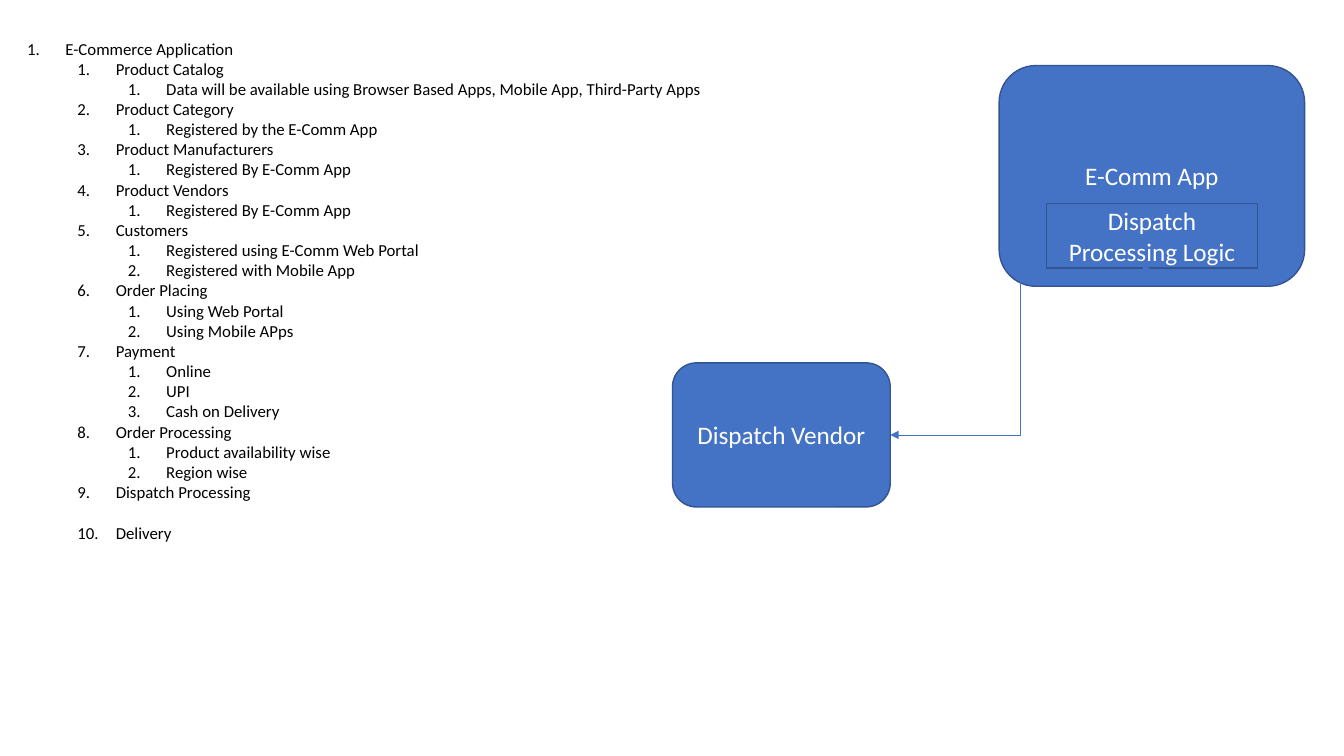
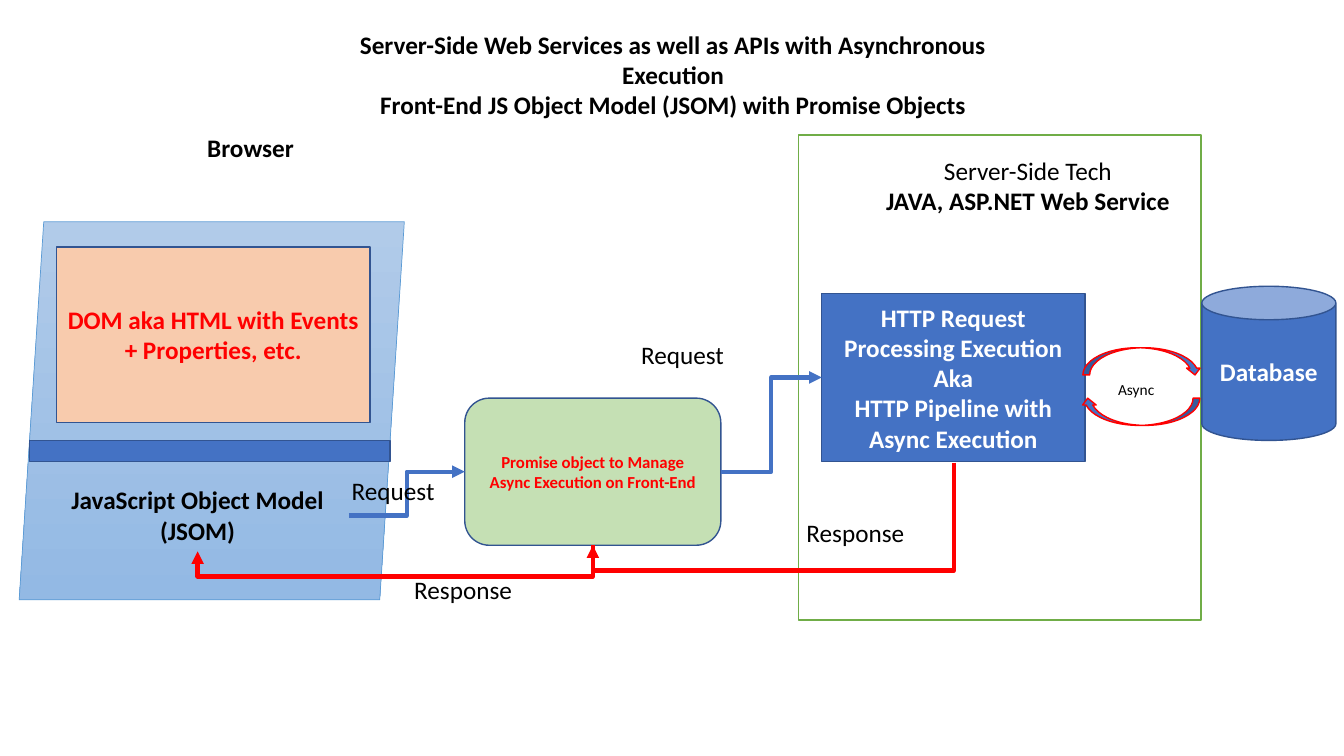
from lxml import etree
from pptx import Presentation
from pptx.dml.color import RGBColor
from pptx.enum.shapes import MSO_CONNECTOR, MSO_SHAPE as Shape
from pptx.enum.text import MSO_ANCHOR, MSO_AUTO_SIZE, PP_ALIGN as Align
from pptx.oxml.ns import qn
from pptx.util import Inches, Pt

BLACK = RGBColor(0x00, 0x00, 0x00)
WHITE = RGBColor(0xFF, 0xFF, 0xFF)
BLUE = RGBColor(0x44, 0x72, 0xC4)
DARK_BLUE = RGBColor(0x32, 0x54, 0x91)
SKY_LINE = RGBColor(0x5B, 0x9B, 0xD5)
SKY_TOP = RGBColor(0xB1, 0xCB, 0xE9)
SKY_BOTTOM = RGBColor(0x93, 0xB9, 0xE4)
RED = RGBColor(0xFF, 0x00, 0x00)
PEACH = RGBColor(0xF8, 0xCB, 0xAD)
LIGHT_GREEN = RGBColor(0xC5, 0xE0, 0xB4)
GREEN = RGBColor(0x70, 0xAD, 0x47)

FONTS = {
    "normal": {"name": "Calibri", "size": Pt(18), "bold": False},
    "strong": {"name": "Calibri", "size": Pt(18), "bold": True},
    "outline": {"name": "Calibri", "size": Pt(12), "bold": False},
    "small strong": {"name": "Calibri", "size": Pt(12), "bold": True},
    "caption": {"name": "Calibri", "size": Pt(11), "bold": False},
}

OUTLINE = [
    (0, "E-Commerce Application"),
    (1, "Product Catalog"),
    (2, "Data will be available using Browser Based Apps, Mobile App, Third-Party Apps"),
    (1, "Product Category"),
    (2, "Registered by the E-Comm App"),
    (1, "Product Manufacturers"),
    (2, "Registered By E-Comm App"),
    (1, "Product Vendors"),
    (2, "Registered By E-Comm App"),
    (1, "Customers"),
    (2, "Registered using E-Comm Web Portal"),
    (2, "Registered with Mobile App"),
    (1, "Order Placing"),
    (2, "Using Web Portal"),
    (2, "Using Mobile APps"),
    (1, "Payment"),
    (2, "Online"),
    (2, "UPI"),
    (2, "Cash on Delivery"),
    (1, "Order Processing"),
    (2, "Product availability wise"),
    (2, "Region wise"),
    (1, "Dispatch Processing"),
    (1, "Delivery"),
]


class Deck:
    def __init__(self):
        self.prs = Presentation()
        self.prs.slide_width, self.prs.slide_height = Inches(13.33), Inches(7.5)
        self.slide = None

    def blank_slide(self):
        self.slide = self.prs.slides.add_slide(self.prs.slide_layouts[6])

    def title_slide(self, lines, place):
        self.slide = self.prs.slides.add_slide(self.prs.slide_layouts[5])
        title = self.slide.shapes.title
        title.left, title.top, title.width, title.height = map(Inches, place)
        title.text_frame.vertical_anchor = MSO_ANCHOR.TOP
        title.text_frame.auto_size = MSO_AUTO_SIZE.NONE
        self.fill_text(title.text_frame, [(line, "strong") for line in lines])

    def fill_text(self, frame, lines, color=BLACK, align=Align.CENTER):
        """Fill a text frame with (text, font style) lines."""
        frame.word_wrap = True
        for index, (text, style) in enumerate(lines):
            paragraph = frame.add_paragraph() if index else frame.paragraphs[0]
            paragraph.alignment = align
            run = paragraph.add_run()
            run.text = text
            for key, value in FONTS[style].items():
                setattr(run.font, key, value)
            run.font.color.rgb = color

    def label(self, place, *lines, style="normal", align=Align.CENTER):
        """Add a text box; a line is a text or a (text, font style) pair."""
        box = self.slide.shapes.add_textbox(*map(Inches, place))
        pairs = [(line, style) if isinstance(line, str) else line for line in lines]
        self.fill_text(box.text_frame, pairs, align=align)
        return box

    def outline(self, place, items, gap_before):
        """Add a numbered outline with one blank line's gap above gap_before."""
        box = self.label(place, *(text for _, text in items), style="outline", align=Align.LEFT)
        for paragraph, (level, text) in zip(box.text_frame.paragraphs, items):
            paragraph.level = level
            if text == gap_before:
                paragraph.space_before = Pt(14.6)
            props = paragraph._p.get_or_add_pPr()
            props.set("marL", str(Inches(0.38 + 0.5 * level)))
            props.set("indent", str(Inches(-0.38)))
            etree.SubElement(props, qn("a:buFont"), typeface="+mj-lt")
            etree.SubElement(props, qn("a:buAutoNum"), type="arabicPeriod")

    def block(self, kind, place, *lines, fill=BLUE, line=DARK_BLUE, weight=1,
              style="normal", color=WHITE):
        block = self.slide.shapes.add_shape(kind, *map(Inches, place))
        block.shadow.inherit = False
        block.fill.solid()
        block.fill.fore_color.rgb = fill
        block.line.color.rgb = line
        block.line.width = Pt(weight)
        self.fill_text(block.text_frame, [(text, style) for text in lines], color)
        return block

    def elbow(self, start, end, color=BLUE, weight=3, both_heads=False):
        link = self.slide.shapes.add_connector(
            MSO_CONNECTOR.ELBOW, *map(Inches, (*start, *end)))
        link.line.color.rgb = color
        link.line.width = Pt(weight)
        outline = link.line._get_or_add_ln()
        for tag in ("a:headEnd", "a:tailEnd") if both_heads else ("a:tailEnd",):
            etree.SubElement(outline, qn(tag), type="triangle")
        etree.SubElement(link._element.spPr, qn("a:effectLst"))
        return link

    def return_path(self, start, end, bend):
        """Add a red elbow going down to height bend, left, then up to end."""
        (x1, y1), (x2, y2) = start, end
        mid_x, mid_y = (x1 + x2) / 2, (y1 + y2) / 2
        half_w, half_h = (y2 - y1) / 2, (x1 - x2) / 2
        link = self.elbow((mid_x - half_w, mid_y - half_h),
                          (mid_x + half_w, mid_y + half_h), RED)
        props = link._element.spPr
        props.find(qn("a:xfrm")).set("rot", str(90 * 60000))
        guides = props.find(qn("a:prstGeom")).get_or_add_avLst()
        ratio = round((bend - y1) / (y2 - y1) * 100000)
        etree.SubElement(guides, qn("a:gd"), name="adj1", fmla=f"val {ratio}")


def add_commerce_slide(deck):
    deck.blank_slide()
    deck.outline((0.17, 0.33, 12.99, 5.35), OUTLINE, gap_before="Delivery")
    deck.block(Shape.ROUNDED_RECTANGLE, (9.91, 0.65, 3.03, 2.19), "E-Comm App")
    vendor = deck.block(Shape.ROUNDED_RECTANGLE, (6.67, 3.6, 2.16, 1.43), "Dispatch Vendor")
    deck.block(Shape.RECTANGLE, (10.38, 2.02, 2.09, 0.64), "Dispatch Processing Logic")
    dispatch = deck.elbow((11.42, 2.67), (8.83, 4.32), weight=0.5, both_heads=True)
    dispatch.end_connect(vendor, 3)


def add_async_slide(deck):
    deck.title_slide(["Server-Side Web Services as well as APIs with Asynchronous Execution",
                      "Front-End JS Object Model (JSOM) with Promise Objects"],
                     (3.04, 0.24, 7.27, 1.01))

    deck.block(Shape.RECTANGLE, (7.92, 1.34, 3.99, 4.81), fill=WHITE, line=GREEN)
    deck.label((8.15, 1.49, 4.09, 0.71), "Server-Side Tech",
               ("JAVA, ASP.NET Web Service", "strong"))
    pipeline = deck.block(Shape.RECTANGLE, (8.15, 2.91, 2.61, 1.67),
                          "HTTP Request Processing Execution", "Aka",
                          "HTTP Pipeline with Async Execution", style="strong")
    deck.block(Shape.CAN, (11.92, 2.84, 1.33, 1.53), "Database", style="strong")

    laptop = deck.block(Shape.PARALLELOGRAM, (0.19, 2.2, 3.82, 3.75),
                        line=SKY_LINE, weight=0.5)
    laptop.adjustments[0] = 0.065
    laptop.fill.gradient()
    laptop.fill.gradient_angle = 270
    for stop, color in zip(laptop.fill.gradient_stops, (SKY_TOP, SKY_BOTTOM)):
        stop.color.rgb = color
    deck.label((0.96, 1.26, 3.05, 0.4), "Browser", style="strong")
    deck.block(Shape.RECTANGLE, (0.29, 4.37, 3.58, 0.21))
    jsom = deck.label((0.46, 4.76, 3, 0.71), "JavaScript Object Model (JSOM)", style="strong")
    deck.block(Shape.RECTANGLE, (0.56, 2.45, 3.11, 1.74),
               "DOM aka HTML with Events + Properties, etc.",
               fill=PEACH, style="strong", color=RED)
    promise = deck.block(Shape.ROUNDED_RECTANGLE, (4.61, 3.95, 2.54, 1.46),
                         "Promise object to Manage Async Execution on Front-End",
                         fill=LIGHT_GREEN, style="small strong", color=RED)

    for sender, receiver, start, end in (
            (jsom, promise, (3.46, 5.12), (4.61, 4.68)),
            (promise, pipeline, (7.15, 4.68), (8.15, 3.75))):
        request = deck.elbow(start, end)
        request.begin_connect(sender, 3)
        request.end_connect(receiver, 1)
    promise_foot = (5.88, 5.41)
    deck.return_path((9.46, 4.59), promise_foot, bend=5.66)
    deck.return_path(promise_foot, (1.96, 5.47), bend=5.72)
    for text, left, top in (("Request", 6.26, 3.32), ("Request", 3.39, 4.67),
                            ("Response", 7.9, 5.08), ("Response", 4.01, 5.65)):
        deck.label((left, top, 1.42, 0.4), text, align=Align.LEFT)

    for left, top, turn in ((10.74, 3.45, 0), (10.72, 3.95, 180)):
        arrow = deck.block(Shape.CURVED_DOWN_ARROW, (left, top, 1.18, 0.27), line=RED)
        arrow.rotation = turn
    deck.label((10.99, 3.72, 0.68, 0.29), "Async", style="caption", align=Align.LEFT)


def main():
    deck = Deck()
    add_commerce_slide(deck)
    add_async_slide(deck)
    deck.prs.save("out.pptx")


if __name__ == "__main__":
    main()
